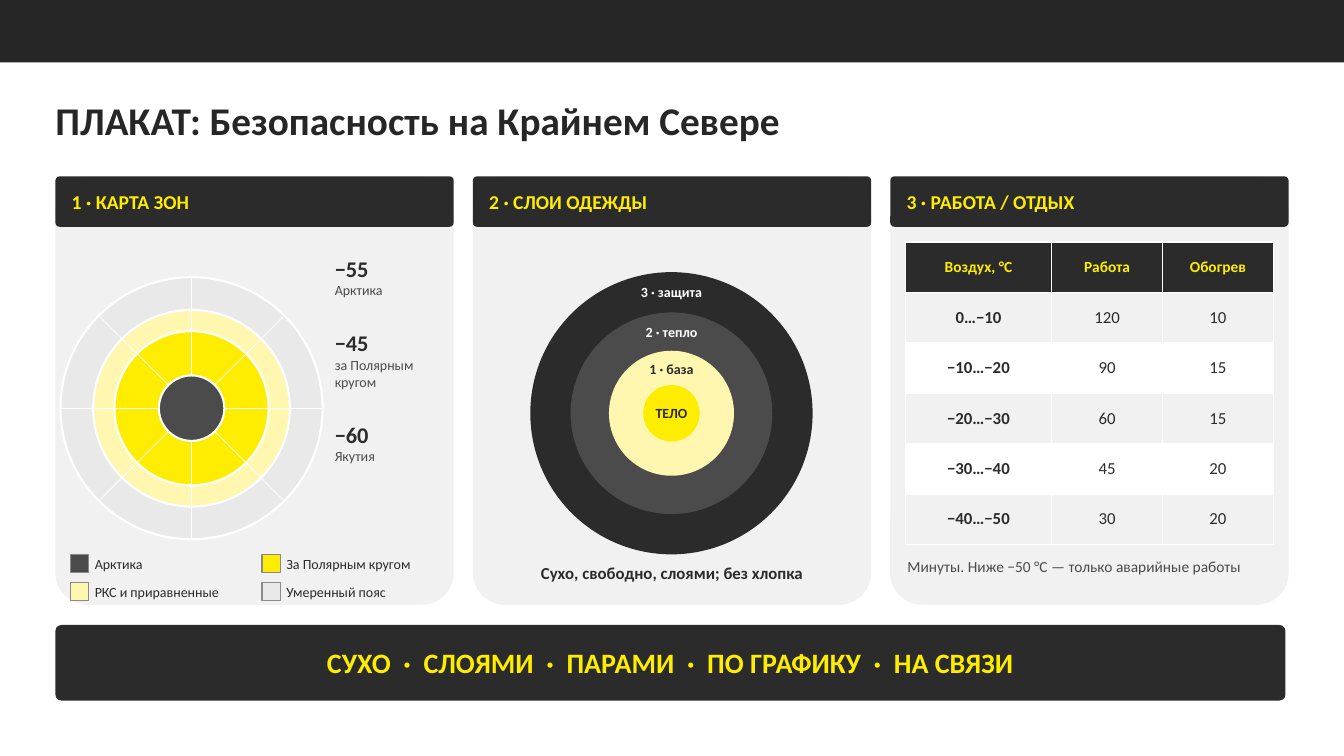
import math
import pptx
import pptx.dml.color
import pptx.enum.shapes
import pptx.enum.text
import pptx.oxml.ns
import pptx.util
from lxml import etree

Inches = pptx.util.Inches
Pt = pptx.util.Pt
RGBColor = pptx.dml.color.RGBColor
SHAPE = pptx.enum.shapes.MSO_SHAPE
LINE = pptx.enum.shapes.MSO_CONNECTOR.STRAIGHT
TOP = pptx.enum.text.MSO_ANCHOR.TOP
MIDDLE = pptx.enum.text.MSO_ANCHOR.MIDDLE
LEFT = pptx.enum.text.PP_ALIGN.LEFT
CENTER = pptx.enum.text.PP_ALIGN.CENTER
GROW = pptx.enum.text.MSO_AUTO_SIZE.SHAPE_TO_FIT_TEXT

BLACK = RGBColor(0x26, 0x26, 0x26)
DARK = RGBColor(0x2B, 0x2B, 0x2B)
SMOKE = RGBColor(0x4B, 0x4B, 0x4B)
EDGE = RGBColor(0x8A, 0x8A, 0x8A)
MILD = RGBColor(0xE9, 0xE9, 0xE9)
PALE = RGBColor(0xF1, 0xF1, 0xF1)
WHITE = RGBColor(0xFF, 0xFF, 0xFF)
YELLOW = RGBColor(0xFF, 0xED, 0x00)
CREAM = RGBColor(0xFF, 0xF7, 0xB0)

CARD_TOP = 1.75
CARD_WIDTH = 3.95
CARD_STEP = 4.14
HEADS = ["1 · КАРТА ЗОН", "2 · СЛОИ ОДЕЖДЫ", "3 · РАБОТА / ОТДЫХ"]
ZONES = [(2.6, MILD), (1.95, CREAM), (1.53, YELLOW), (0.65, SMOKE)]
LEGEND = [("Арктика", SMOKE), ("За Полярным кругом", YELLOW),
          ("РКС и приравненные", CREAM), ("Умеренный пояс", MILD)]
FROST = [("−55", "Арктика"), ("−45", "за Полярным кругом"), ("−60", "Якутия")]
LAYERS = [(2.8, DARK, "3 · защита", 2.9, WHITE),
          (2, SMOKE, "2 · тепло", 3.29, WHITE),
          (1.24, CREAM, "1 · база", 3.66, DARK),
          (0.56, YELLOW, "ТЕЛО", 4.1, DARK)]
ROWS = [("Воздух, °C", "Работа", "Обогрев"),
        ("0…−10", "120", "10"), ("−10…−20", "90", "15"),
        ("−20…−30", "60", "15"), ("−30…−40", "45", "20"),
        ("−40…−50", "30", "20")]
MOTTO = ["СУХО", "СЛОЯМИ", "ПАРАМИ", "ПО ГРАФИКУ", "НА СВЯЗИ"]


def add_run(para, text, size, color, bold=False):
    run = para.add_run()
    run.text = text
    run.font.name = "Calibri"
    run.font.size = Pt(size)
    run.font.bold = bold
    run.font.color.rgb = color


def set_frame(frame, side, anchor):
    frame.word_wrap = True
    frame.vertical_anchor = anchor
    frame.margin_left = frame.margin_right = Inches(side)
    frame.margin_top = frame.margin_bottom = Inches(0.03)


def add_block(slide, kind, box, fill, edge=None, width=1):
    shape = slide.shapes.add_shape(kind, *map(Inches, box))
    shape.shadow.inherit = False
    shape.fill.solid()
    shape.fill.fore_color.rgb = fill
    if edge is None:
        shape.line.fill.background()
    else:
        shape.line.color.rgb = edge
        shape.line.width = Pt(width)
    if kind == SHAPE.ROUNDED_RECTANGLE:
        shape.adjustments[0] = 0.08
    return shape


def add_bar(slide, box, text, size, side, align):
    bar = add_block(slide, SHAPE.ROUNDED_RECTANGLE, box, DARK)
    set_frame(bar.text_frame, side, MIDDLE)
    para = bar.text_frame.paragraphs[0]
    para.alignment = align
    add_run(para, text, size, YELLOW, True)


def add_frame(slide, box, side=0.02, anchor=TOP):
    frame = slide.shapes.add_textbox(*map(Inches, box)).text_frame
    set_frame(frame, side, anchor)
    frame.auto_size = GROW
    return frame


def add_label(slide, box, text, size, color, bold=False, align=LEFT,
              side=0.02, anchor=TOP):
    para = add_frame(slide, box, side, anchor).paragraphs[0]
    para.alignment = align
    add_run(para, text, size, color, bold)


def add_disc(slide, x, y, size, fill, edge=None):
    box = (x - size / 2, y - size / 2, size, size)
    add_block(slide, SHAPE.OVAL, box, fill, edge, 1.5)


def add_spoke(slide, x, y, near, far, angle):
    dx, dy = math.cos(angle), math.sin(angle)
    ends = (x + near * dx, y + near * dy, x + far * dx, y + far * dy)
    spoke = slide.shapes.add_connector(LINE, *map(Inches, ends))
    spoke.line.color.rgb = WHITE
    spoke.line.width = Pt(0.5)
    etree.SubElement(spoke._element.spPr, pptx.oxml.ns.qn("a:effectLst"))


def add_title(slide):
    title = slide.shapes.title
    title.left, title.top = Inches(0.45), Inches(0.84)
    title.width, title.height = Inches(11.5), Inches(0.75)
    title.text_frame.vertical_anchor = MIDDLE
    para = title.text_frame.paragraphs[0]
    para.alignment = LEFT
    para.line_spacing = 0.9
    add_run(para, "ПЛАКАТ: Безопасность на Крайнем Севере", 28, BLACK, True)


def add_cards(slide):
    for i, head in enumerate(HEADS):
        x = 0.55 + i * CARD_STEP
        add_block(slide, SHAPE.ROUNDED_RECTANGLE,
                  (x, CARD_TOP, CARD_WIDTH, 4.25), PALE)
        add_bar(slide, (x, CARD_TOP, CARD_WIDTH, 0.5), head, 14, 0.15, LEFT)


def add_map(slide):
    x, y = 1.9, 4.05
    for size, fill in ZONES:
        add_disc(slide, x, y, size, fill, WHITE)
    for i in range(8):
        add_spoke(slide, x, y, 0.33, 1.3, i * math.pi / 4)
    for i, (name, fill) in enumerate(LEGEND):
        left, top = 0.7 + i % 2 * 1.9, 5.5 + i // 2 * 0.28
        add_block(slide, SHAPE.RECTANGLE, (left, top, 0.18, 0.18), fill, EDGE)
        add_label(slide, (left + 0.22, top - 0.05, 1.65, 0.28), name, 10,
                  DARK, anchor=MIDDLE)
    frame = add_frame(slide, (3.3, 2.5, 1.15, 3))
    for i, (degree, place) in enumerate(FROST):
        para = frame.add_paragraph() if i else frame.paragraphs[0]
        if i:
            para.space_before = Pt(22)
        add_run(para, degree, 16, DARK, True)
        add_run(frame.add_paragraph(), place, 10, SMOKE)


def add_layers(slide):
    x, y = 6.66, 4.1
    for size, fill, *_ in LAYERS:
        add_disc(slide, x, y, size, fill)
    for *_, name, mid, color in LAYERS:
        add_label(slide, (x - 0.6, mid - 0.13, 1.2, 0.26), name, 10, color,
                  True, CENTER, 0, MIDDLE)
    add_label(slide, (4.84, 5.55, 3.65, 0.4),
              "Сухо, свободно, слоями; без хлопка", 12, DARK, True, CENTER)


def add_shifts(slide):
    box = (8.98, 2.4, 3.65, 3)
    table = slide.shapes.add_table(len(ROWS), 3, *map(Inches, box)).table
    table.horz_banding = False
    for col, width in zip(table.columns, (1.45, 1.1, 1.1)):
        col.width = Inches(width)
    for i, row in enumerate(ROWS):
        table.rows[i].height = Inches(0.5)
        fill = DARK if i == 0 else PALE if i % 2 else WHITE
        size, color = (12, DARK) if i else (11, YELLOW)
        for j, text in enumerate(row):
            cell = table.cell(i, j)
            cell.fill.solid()
            cell.fill.fore_color.rgb = fill
            cell.vertical_anchor = MIDDLE
            para = cell.text_frame.paragraphs[0]
            para.alignment = CENTER
            add_run(para, text, size, color, i == 0 or j == 0)
    add_label(slide, (8.98, 5.5, 3.65, 0.45),
              "Минуты. Ниже −50 °C — только аварийные работы", 11, SMOKE)


def main():
    deck = pptx.Presentation()
    deck.slide_width, deck.slide_height = Inches(13.33), Inches(7.5)
    slide = deck.slides.add_slide(deck.slide_layouts[5])
    add_title(slide)
    add_block(slide, SHAPE.RECTANGLE, (0, 0, 13.33, 0.62), BLACK)
    add_cards(slide)
    add_map(slide)
    add_layers(slide)
    add_shifts(slide)
    add_bar(slide, (0.55, 6.2, 12.2, 0.75), "  ·  ".join(MOTTO), 20, 0.12,
            CENTER)
    deck.save("out.pptx")


if __name__ == "__main__":
    main()
